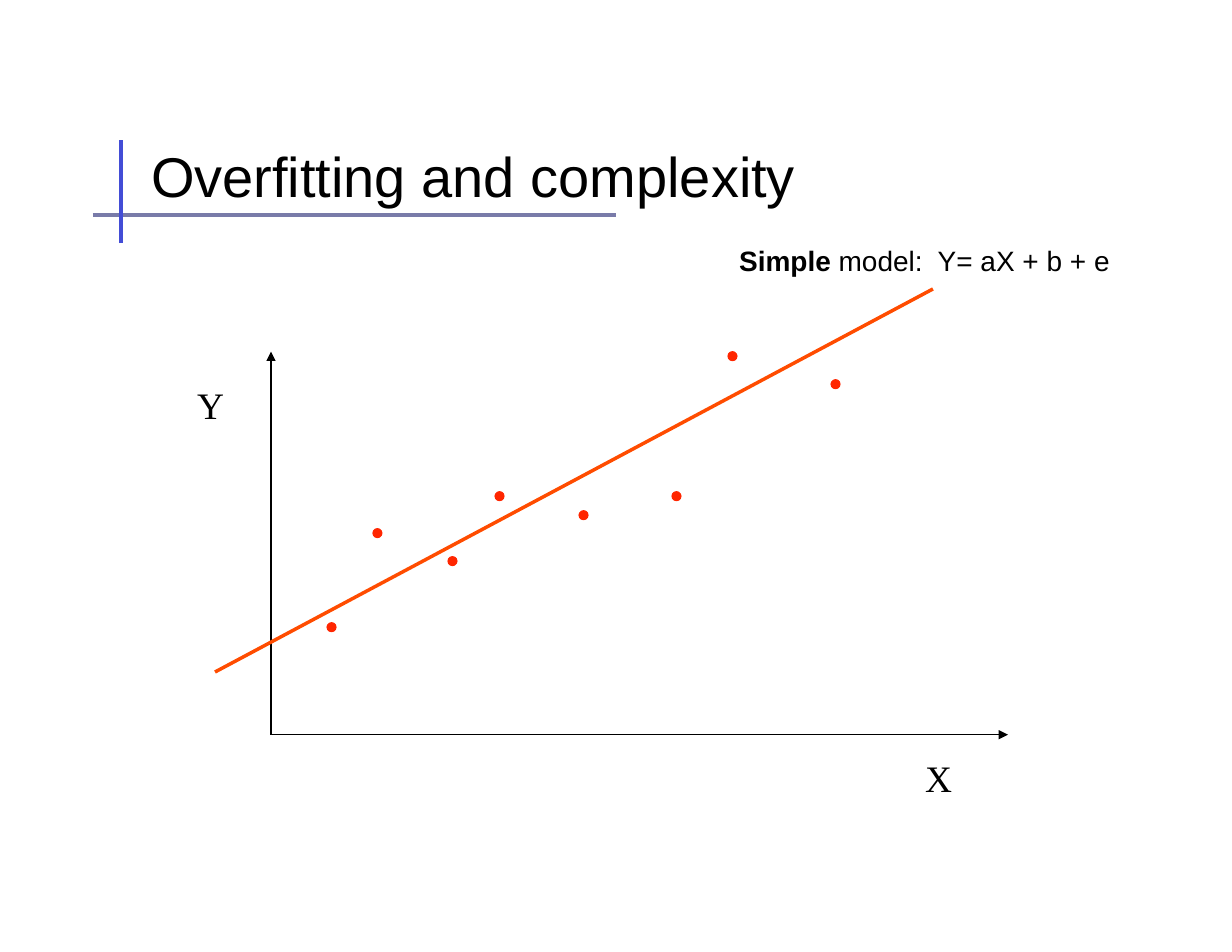
from pptx import Presentation
from pptx.dml.color import RGBColor
from pptx.enum.shapes import MSO_CONNECTOR as Connector, MSO_SHAPE as Shape
from pptx.oxml.ns import qn
from pptx.util import Inches, Pt
from lxml.etree import SubElement


def color(value):
    return RGBColor.from_string(value)


presentation = Presentation()
presentation.slide_width = Inches(11)
presentation.slide_height = Inches(8.5)
slide = presentation.slides.add_slide(presentation.slide_layouts[6])

title_rule = (0.83, 1.92, 5.5, 1.92, "797BA9", 3, False)
title_bar = (1.08, 2.17, 1.08, 1.25, "434DD6", 3, False)
y_axis = (2.42, 6.56, 2.42, 3.14, "000000", 0.75, True)
x_axis = (2.42, 6.56, 9, 6.56, "000000", 0.75, True)
model_line = (1.92, 6, 8.33, 2.58, "FF4C00", 2.25, False)

for x1, y1, x2, y2, line_color, width, has_arrow in (
    title_rule, title_bar, y_axis, x_axis, model_line
):
    connector = slide.shapes.add_connector(
        Connector.STRAIGHT, Inches(x1), Inches(y1), Inches(x2), Inches(y2)
    )
    connector.line.color.rgb = color(line_color)
    connector.line.width = Pt(width)
    if has_arrow:
        SubElement(connector.line._get_or_add_ln(), qn("a:tailEnd"),
                   type="triangle", w="med", len="med")
    SubElement(connector._element.spPr, qn("a:effectLst"))

dot_size = 0.08
data_points = [
    (2.92, 5.56), (3.33, 4.72), (4, 4.97), (4.42, 4.39),
    (5.17, 4.56), (6, 4.39), (6.5, 3.14), (7.42, 3.39),
]
for left, top in data_points:
    dot = slide.shapes.add_shape(
        Shape.OVAL, Inches(left), Inches(top), Inches(dot_size), Inches(dot_size)
    )
    dot.shadow.inherit = False
    dot.fill.solid()
    dot.fill.fore_color.rgb = color("FF2600")
    dot.line.color.rgb = color("FF2600")
    dot.line.width = Pt(0.75)

axis_font = {"name": "Times New Roman", "size": Pt(24)}
title_font = {"name": "Arial", "size": Pt(36)}
model_font = {"name": "Arial", "size": Pt(18)}
frame_format = {
    "word_wrap": True, "margin_left": Inches(0.01),
    "margin_top": 0, "margin_right": 0, "margin_bottom": 0,
}
labels = [
    (8.25, 6.74, 0.3, 0.36, 2, axis_font, [("X", False)]),
    (1.75, 3.41, 0.3, 0.36, 2, axis_font, [("Y", False)]),
    (1.34, 1.26, 8.33, 0.53, 3, title_font, [("Overfitting and complexity", False)]),
    (6.59, 2.17, 3.5, 0.28, 1, model_font,
     [("Simple ", True), ("model:  Y= aX + b + e", False)]),
]
for left, top, width, height, space, font_format, runs in labels:
    text_box = slide.shapes.add_textbox(
        Inches(left), Inches(top), Inches(width), Inches(height)
    )
    for name, value in frame_format.items():
        setattr(text_box.text_frame, name, value)
    paragraph = text_box.text_frame.paragraphs[0]
    paragraph.space_before = Pt(space)
    for text, bold in runs:
        run = paragraph.add_run()
        run.text = text
        run.font.color.rgb = color("000000")
        for name, value in {**font_format, "bold": bold}.items():
            setattr(run.font, name, value)

presentation.save("out.pptx")
